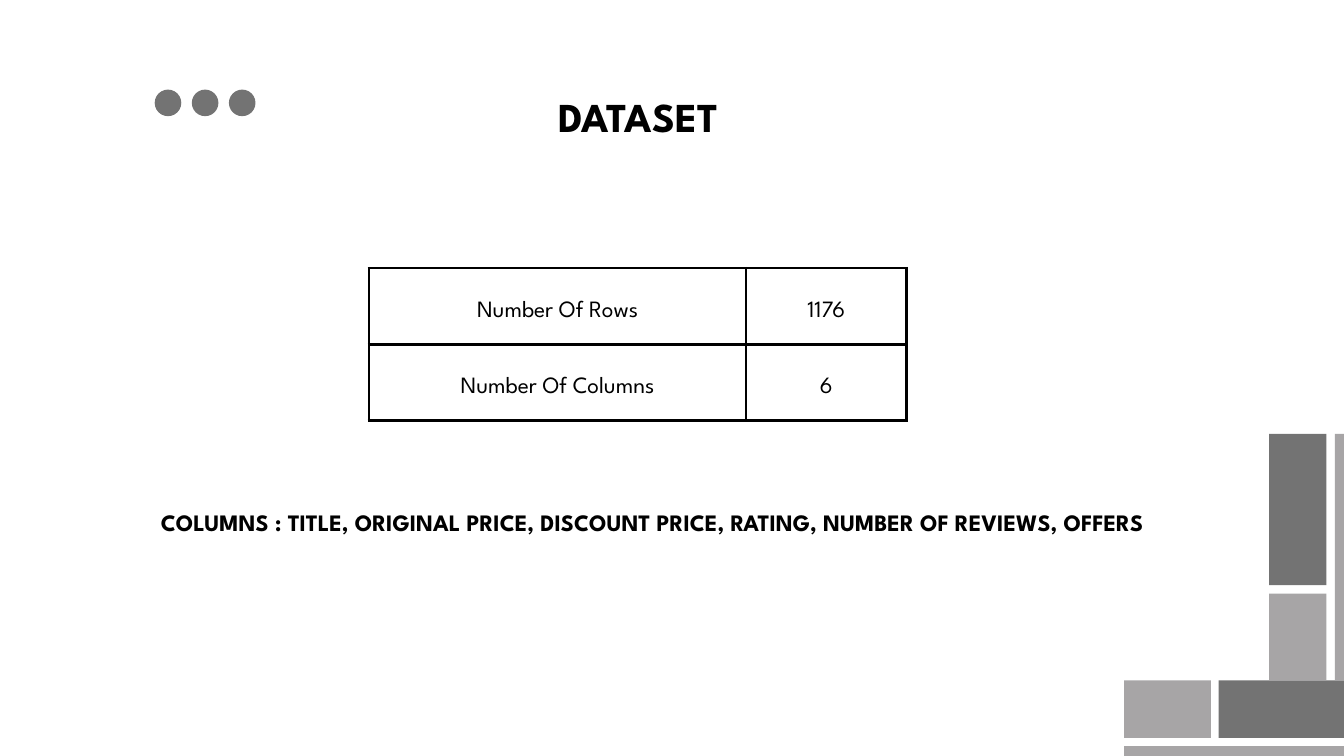
from lxml.etree import SubElement
from pptx import Presentation
from pptx.dml.color import RGBColor
from pptx.enum.shapes import MSO_SHAPE
from pptx.enum.text import MSO_ANCHOR, PP_ALIGN
from pptx.oxml.ns import qn
from pptx.util import Emu, Pt

PX = 9525  # EMU per px, 96 px to the inch
COLORS = {"dark": "737373", "light": "A7A5A6", "ink": "000000"}
FONT = "League Spartan"


def px(n):
    return Emu(n * PX)


class SlideBuilder:
    def __init__(self, slide):
        self.s = slide

    def group(self):
        return self.s.shapes.add_group_shape()

    def block(self, group, kind, color, x, y, w, h):
        sp = group.shapes.add_shape(kind, px(x), px(y), px(w), px(h))
        sp.shadow.inherit = False
        sp.fill.solid()
        sp.fill.fore_color.rgb = RGBColor.from_string(COLORS[color])
        sp.line.fill.background()

    def set_text(self, tf, text, size, spacing, bold=False):
        tf.text = text
        tf.word_wrap = True
        p = tf.paragraphs[0]
        p.alignment = PP_ALIGN.CENTER
        p.line_spacing = Pt(spacing)
        p.space_before = Pt(0)
        font = p.runs[0].font
        font.name, font.size, font.bold = FONT, Pt(size), bold
        font.color.rgb = RGBColor.from_string(COLORS["ink"])

    def bold_line(self, sp, text, size, spacing):
        tf = sp.text_frame
        tf.margin_left = tf.margin_right = tf.margin_top = tf.margin_bottom = 0
        tf.vertical_anchor = MSO_ANCHOR.TOP
        self.set_text(tf, text, size, spacing, bold=True)

    def title(self, text, x, y, w, h):
        sp = self.s.shapes.title
        sp.left, sp.top, sp.width, sp.height = px(x), px(y), px(w), px(h)
        self.bold_line(sp, text, 44, 61.6)

    def text(self, text, x, y, w, h):
        sp = self.s.shapes.add_textbox(px(x), px(y), px(w), px(h))
        self.bold_line(sp, text, 25.2, 35.2)

    def border(self, cell):
        tc_pr = cell._tc.get_or_add_tcPr()
        for i, side in enumerate(("a:lnL", "a:lnR", "a:lnT", "a:lnB")):
            ln = SubElement(tc_pr, qn(side), w=str(Pt(3)))
            fill = SubElement(ln, qn("a:solidFill"))
            SubElement(fill, qn("a:srgbClr"), val=COLORS["ink"])
            tc_pr.insert(i, ln)  # borders come before the cell fill

    def table(self, rows, x, y, widths, row_height):
        frame = self.s.shapes.add_table(len(rows), len(widths), px(x), px(y),
                                        px(sum(widths)), px(row_height * len(rows)))
        table = frame.table
        table.first_row = table.horz_banding = False
        for column, width in zip(table.columns, widths):
            column.width = px(width)
        for r, row in enumerate(rows):
            table.rows[r].height = px(row_height)
            for c, value in enumerate(row):
                cell = table.cell(r, c)
                cell.fill.background()
                cell.vertical_anchor = MSO_ANCHOR.MIDDLE
                cell.margin_left = cell.margin_right = px(20)
                cell.margin_top = cell.margin_bottom = px(20)
                self.set_text(cell.text_frame, value, 25, 35)
                self.border(cell)


def main():
    prs = Presentation()
    prs.slide_width, prs.slide_height = px(1920), px(1080)
    b = SlideBuilder(prs.slides.add_slide(prs.slide_layouts[5]))

    # Corner bricks
    bricks = b.group()
    for brick in [("dark", 1741, 972, 215, 82), ("light", 1606, 972, 124, 82),
                  ("light", 1606, 1066, 350, 67), ("dark", 1813, 620, 82, 216),
                  ("light", 1813, 848, 82, 124), ("light", 1907, 620, 67, 352)]:
        b.block(bricks, MSO_SHAPE.RECTANGLE, *brick)

    # Three dots
    dots = b.group()
    for i in range(3):
        b.block(dots, MSO_SHAPE.OVAL, "dark", 221 + 53 * i, 128, 38, 38)

    # Dataset size
    b.table([("Number Of Rows", "1176"), ("Number Of Columns", "6")],
            527, 383, (539, 229), 109)

    # Title and column list
    b.title("DATASET", 60, 119, 1704, 80)
    b.text("COLUMNS : TITLE, ORIGINAL PRICE, DISCOUNT PRICE, RATING, "
           "NUMBER OF REVIEWS, OFFERS", 26, 719, 1812, 45)

    prs.save("out.pptx")


if __name__ == "__main__":
    main()
